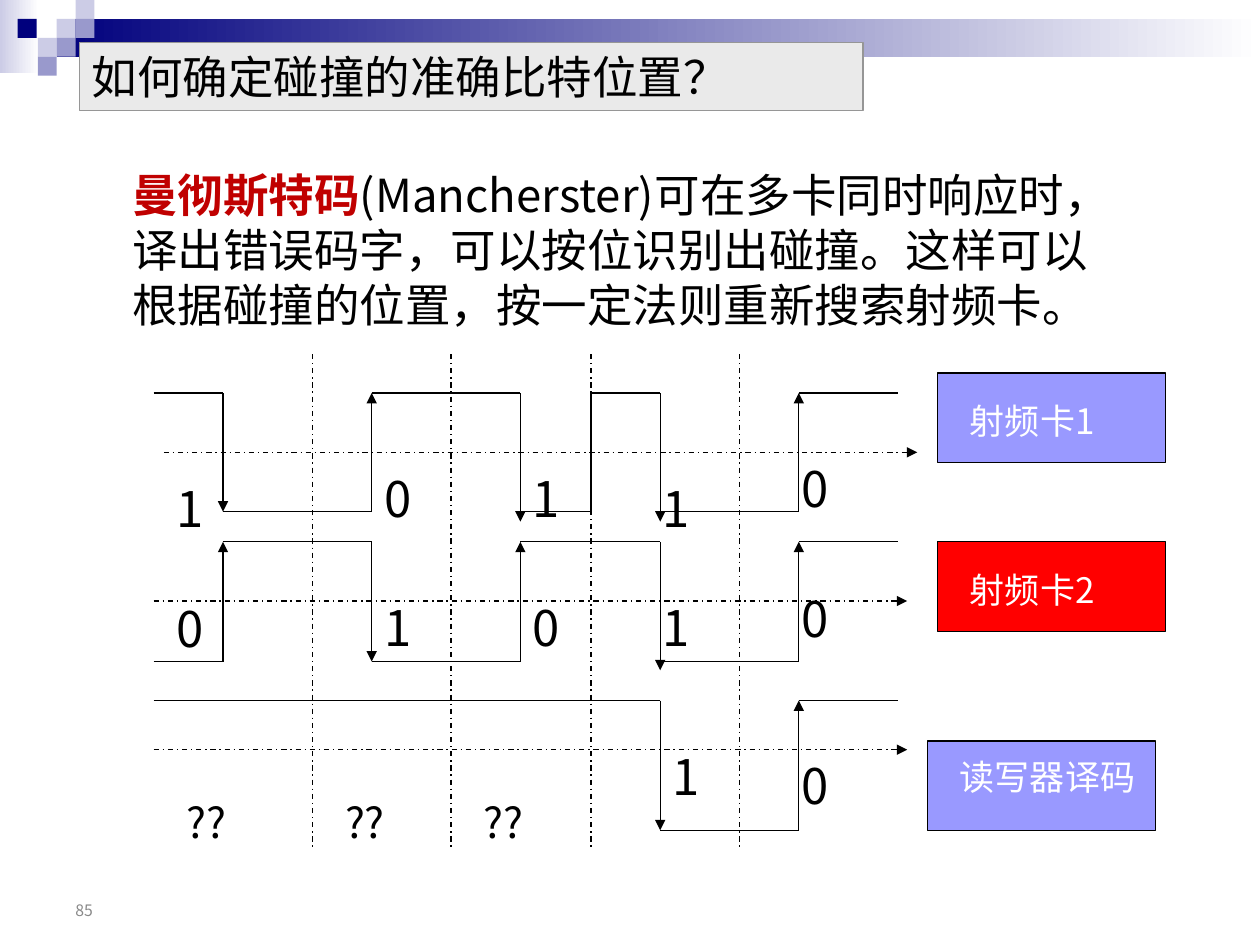
from lxml.etree import SubElement as Sub
from pptx import Presentation
from pptx.dml.color import RGBColor
from pptx.enum.dml import MSO_LINE as Dash
from pptx.enum.shapes import MSO_CONNECTOR as Conn, MSO_SHAPE as Kind
from pptx.enum.text import MSO_ANCHOR as Anchor, MSO_AUTO_SIZE as Auto, PP_ALIGN as Align
from pptx.oxml.ns import qn
from pptx.util import Inches, Pt

# Content
SANS = "Noto Sans CJK SC"
TITLE = "如何确定碰撞的准确比特位置？"
BODY = [("曼彻斯特码", "C00000"),
        ("(Mancherster)可在多卡同时响应时，译出错误码字，"
         "可以按位识别出碰撞。这样可以根据碰撞的位置，按一定法则重新搜索射频卡。", None)]

BANDS = [(0, 0, 0.31, 0.58, "CCCCE6"), (0.45, 0.15, 9.55, 0.3, "00007D")]
TILE = 0.15
TILES = [(0.45, 0.15, "CCCCE6"), (0.6, 0, "CCCCE6"), (0.6, 0.15, "9999CC"),
         (0.3, 0.3, "CCCCE6"), (0.14, 0.15, "00007D"), (0.45, 0.3, "9999CC"),
         (0.3, 0.45, "9999CC")]

AXES = [(1.3, 3.59), (1.22, 4.77), (1.22, 5.95)]  # left end, height
AXIS_LEN = 5.98
BIT_EDGES = [2.48, 3.58, 4.69, 5.87]

# Each wave starts high or low and flips at every edge: x, arrow, overshoot
LEFT, RIGHT = 1.22, 7.13
WAVES = [
    dict(high=3.12, low=4.06, up=True,
         edges=[(1.77, True, 0), (2.95, True, 0), (4.13, True, 0.08),
                (4.69, False, 0), (5.24, True, 0.08), (6.34, True, 0)]),
    dict(high=4.3, low=5.25, up=False,
         edges=[(1.77, True, 0), (2.95, True, 0), (4.13, True, 0),
                (5.24, True, 0.07), (6.34, True, 0)]),
    dict(high=5.56, low=6.59, up=True,
         edges=[(5.24, True, 0), (6.34, True, 0)]),
]
BITS = [
    ("1", 1.3, 3.75), ("0", 2.95, 3.67), ("1", 4.13, 3.67), ("1", 5.16, 3.75), ("0", 6.26, 3.59),
    ("0", 1.3, 4.7), ("1", 2.95, 4.69), ("0", 4.13, 4.69), ("1", 5.16, 4.69), ("0", 6.26, 4.62),
    ("1", 5.24, 5.88), ("0", 6.26, 5.95),
]
UNKNOWN = [1.38, 2.64, 3.74]
LABELS = [("射频卡1", 7.44, 2.96, "9999FF", 0.16, 1.5),
          ("射频卡2", 7.44, 4.3, "FF0000", 0.16, 1.5),
          ("读写器译码", 7.36, 5.88, "9999FF", 0.07, 1.73)]

deck = Presentation()
deck.slide_width, deck.slide_height = Inches(10), Inches(7.5)
slide = deck.slides.add_slide(deck.slide_layouts[6])
shapes = slide.shapes


def rgb(code):
    return RGBColor.from_string(code)


def box(x, y, w, h, fill, edge=None, fade=False):
    rect = shapes.add_shape(Kind.RECTANGLE, *map(Inches, (x, y, w, h)))
    rect.shadow.inherit = False
    if fade:
        rect.fill.gradient()
        rect.fill.gradient_angle = 0
        for stop, code in zip(rect.fill.gradient_stops, (fill, "FFFFFF")):
            stop.color.rgb = rgb(code)
    else:
        rect.fill.solid()
        rect.fill.fore_color.rgb = rgb(fill)
    if edge:
        rect.line.color.rgb = rgb(edge)
        rect.line.width = Pt(0.75)
    else:
        rect.line.fill.background()
    return rect


def line(x1, y1, x2, y2, dash=False, arrow=False):
    conn = shapes.add_connector(Conn.STRAIGHT, *map(Inches, (x1, y1, x2, y2)))
    conn.line.color.rgb = rgb("000000")
    conn.line.width = Pt(0.75)
    if dash:
        conn.line.dash_style = Dash.DASH_DOT
    if arrow:
        Sub(conn.line._get_or_add_ln(), qn("a:tailEnd"), type="triangle")
    Sub(conn._element.spPr, qn("a:effectLst"))


def write(shape, runs, size, color="000000", face=SANS, anchor=Anchor.TOP, grow=True):
    frame = shape.text_frame
    frame.word_wrap = True
    frame.vertical_anchor = anchor
    frame.auto_size = Auto.SHAPE_TO_FIT_TEXT if grow else Auto.NONE
    para = frame.paragraphs[0]
    para.alignment = Align.LEFT
    para.line_spacing = Pt(size * 1.2)
    para.font.size = Pt(size)
    para.font.color.rgb = rgb(color)
    para.font.name = face
    props = para._p.pPr
    props.set("hangingPunct", "0")  # keep commas inside the margin
    Sub(props.find(qn("a:defRPr")), qn("a:ea"), typeface=face)
    for words, accent in runs:
        run = para.add_run()
        run.text = words
        if accent:
            run.font.bold = True
            run.font.color.rgb = rgb(accent)


def text(words, x, y, w, h, size, **style):
    runs = [(words, None)] if isinstance(words, str) else words
    write(shapes.add_textbox(*map(Inches, (x, y, w, h))), runs, size, **style)


# Banner
for band in BANDS:
    box(*band, fade=True)
for x, y, fill in TILES:
    box(x, y, TILE, TILE, fill)

# Time axes and bit borders
for x, y in AXES:
    line(x, y, x + AXIS_LEN, y, dash=True, arrow=True)
for x in BIT_EDGES:
    line(x, 2.81, x, 6.74, dash=True)

# Waves
for wave in WAVES:
    x, up = LEFT, wave["up"]
    for edge, arrow, over in wave["edges"]:
        now, then = (wave["high"], wave["low"]) if up else (wave["low"], wave["high"])
        line(x, now, edge, now)
        line(edge, now, edge, then + over, arrow=arrow)
        x, up = edge, not up
    line(x, then, RIGHT, then)

# Bit values
for bit, x, y in BITS:
    text(bit, x, y, 0.32, 0.57, 28)
for x in UNKNOWN:
    text("??", x, 6.27, 0.87, 0.5, 24)

# Labels
for words, x, y, fill, drop, width in LABELS:
    box(x, y, 1.81, 0.71, fill, "000000")
    text(words, x + 0.16, y + drop, width, 0.44, 20, color="FFFFFF")

# Body, title and page number
text(BODY, 0.95, 1.28, 8.03, 1.84, 26)
write(box(0.63, 0.34, 6.22, 0.54, "EAEAEA", "969696"), [(TITLE, None)], 26)
text("85", 0.5, 6.83, 2.33, 0.52, 9, color="898989", face="Noto Sans CJK KR",
     anchor=Anchor.BOTTOM, grow=False)

deck.save("out.pptx")
